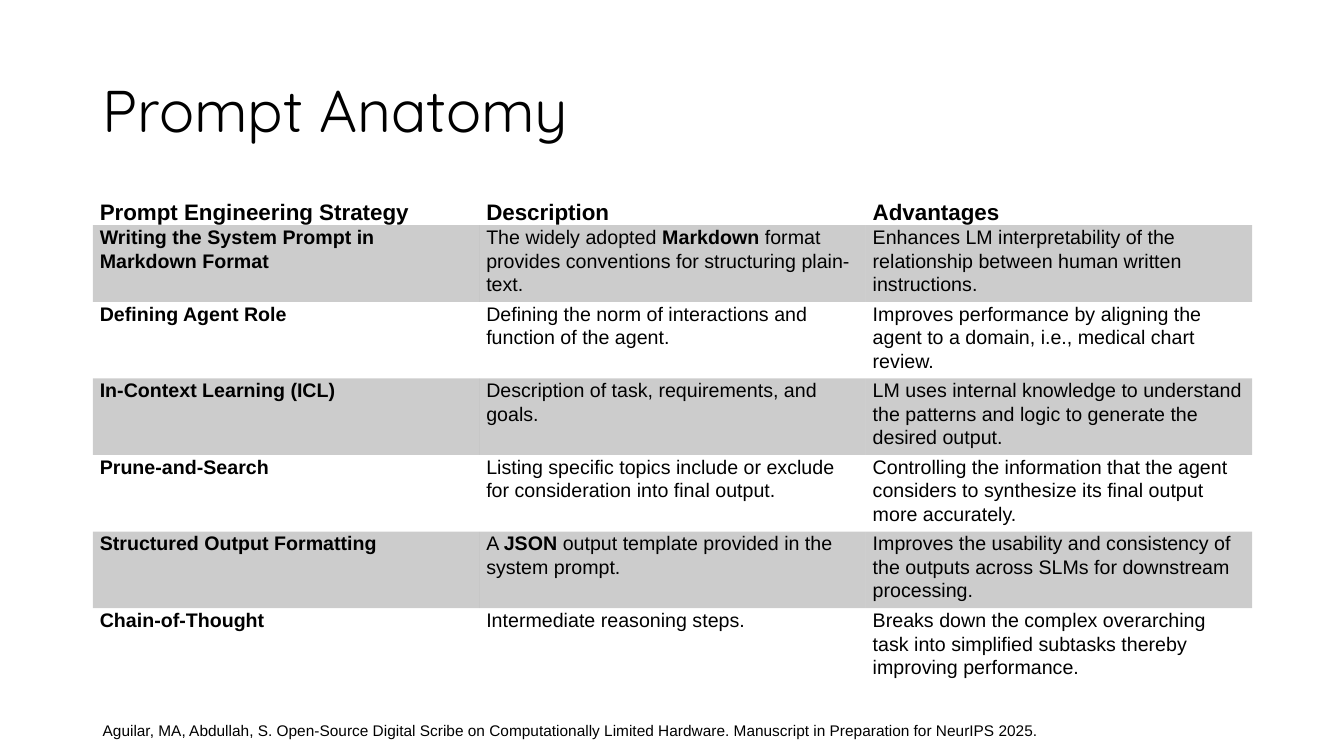
"""Build the Prompt Anatomy slide with its table of prompt strategies."""
from lxml import etree
from pptx import Presentation
from pptx import util as u
from pptx.dml.color import RGBColor
from pptx.enum import text as t
from pptx.oxml.ns import qn

BLACK = RGBColor(0x00, 0x00, 0x00)
PLAIN_TABLE = "{2D5ABB26-0587-4C30-8999-92F81FD0307C}"
BAND_ALPHA = "20000"
LEFT, WIDTH = 0.92, 11.5
HEADER_HEIGHT, ROW_HEIGHT = 0.18, 0.76

HEADINGS = ("Prompt Engineering Strategy", "Description", "Advantages")
STRATEGIES = (
    ("Writing the System Prompt in Markdown Format",
     "The widely adopted **Markdown** format provides conventions for structuring plain-text.",
     "Enhances LM interpretability of the relationship between human written instructions."),
    ("Defining Agent Role",
     "Defining the norm of interactions and function of the agent.",
     "Improves performance by aligning the agent to a domain, i.e., medical chart review."),
    ("In-Context Learning (ICL)",
     "Description of task, requirements, and goals.",
     "LM uses internal knowledge to understand the patterns and logic to generate the desired output."),
    ("Prune-and-Search",
     "Listing specific topics include or exclude for consideration into final output.",
     "Controlling the information that the agent considers to synthesize its final output more accurately."),
    ("Structured Output Formatting",
     "A **JSON** output template provided in the system prompt.",
     "Improves the usability and consistency of the outputs across SLMs for downstream processing."),
    ("Chain-of-Thought",
     "Intermediate reasoning steps.",
     "Breaks down the complex overarching task into simplified subtasks thereby improving performance."),
)
CITATION = ("Aguilar, MA, Abdullah, S. Open-Source Digital Scribe on Computationally Limited Hardware. "
            "Manuscript in Preparation for NeurIPS 2025.")


def write(frame, text, size, font="Arial", bold=False, spacing=None):
    para = frame.paragraphs[0]
    para.alignment = t.PP_ALIGN.LEFT
    if spacing:
        para.line_spacing = spacing
    for index, part in enumerate(text.split("**")):
        span = para.add_run()
        span.text = part
        span.font.name = font
        span.font.size = u.Pt(size)
        span.font.bold = bold or index % 2 == 1
        span.font.color.rgb = BLACK


class SlideBuilder:
    def __init__(self, deck):
        self.page = deck.slides.add_slide(deck.slide_layouts[5])

    def title(self, text):
        box = self.page.shapes.title
        box.left, box.top = u.Inches(LEFT), u.Inches(0.4)
        box.width, box.height = u.Inches(WIDTH), u.Inches(1.45)
        frame = box.text_frame
        frame.auto_size = t.MSO_AUTO_SIZE.NONE
        frame.vertical_anchor = t.MSO_ANCHOR.MIDDLE
        write(frame, text, 42, font="Quicksand", spacing=0.9)

    def table(self, headings, rows):
        height = HEADER_HEIGHT + ROW_HEIGHT * len(rows)
        table = self.page.shapes.add_table(
            len(rows) + 1, len(headings), u.Inches(LEFT), u.Inches(1.97),
            u.Inches(WIDTH), u.Inches(height)).table
        table.horz_banding = False
        table.first_row = False
        table._tbl.tblPr.find(qn("a:tableStyleId")).text = PLAIN_TABLE
        for row_index, texts in enumerate((headings, *rows)):
            is_header = row_index == 0
            table.rows[row_index].height = u.Inches(HEADER_HEIGHT if is_header else ROW_HEIGHT)
            for column, text in enumerate(texts):
                self.cell(table.cell(row_index, column), text, size=16 if is_header else 14,
                          bold=is_header or column == 0, banded=row_index % 2 == 1)

    def cell(self, cell, text, size, bold, banded):
        cell.margin_left = cell.margin_right = u.Inches(0.07)
        cell.margin_top = cell.margin_bottom = 0
        write(cell.text_frame, text, size, bold=bold, spacing=1.07)
        if banded:
            cell.fill.solid()
            cell.fill.fore_color.rgb = BLACK
            color = cell._tc.tcPr.find(".//" + qn("a:srgbClr"))
            etree.SubElement(color, qn("a:alpha"), val=BAND_ALPHA)
        else:
            cell.fill.background()

    def citation(self, text):
        box = self.page.shapes.add_textbox(
            u.Inches(LEFT), u.Inches(7.1), u.Inches(10.14), u.Inches(0.29))
        frame = box.text_frame
        frame.word_wrap = False
        frame.auto_size = t.MSO_AUTO_SIZE.SHAPE_TO_FIT_TEXT
        write(frame, text, 11)


def main():
    deck = Presentation()
    deck.slide_width, deck.slide_height = u.Inches(13.33), u.Inches(7.5)
    builder = SlideBuilder(deck)
    builder.title("Prompt Anatomy")
    builder.table(HEADINGS, STRATEGIES)
    builder.citation(CITATION)
    deck.save("out.pptx")


if __name__ == "__main__":
    main()
